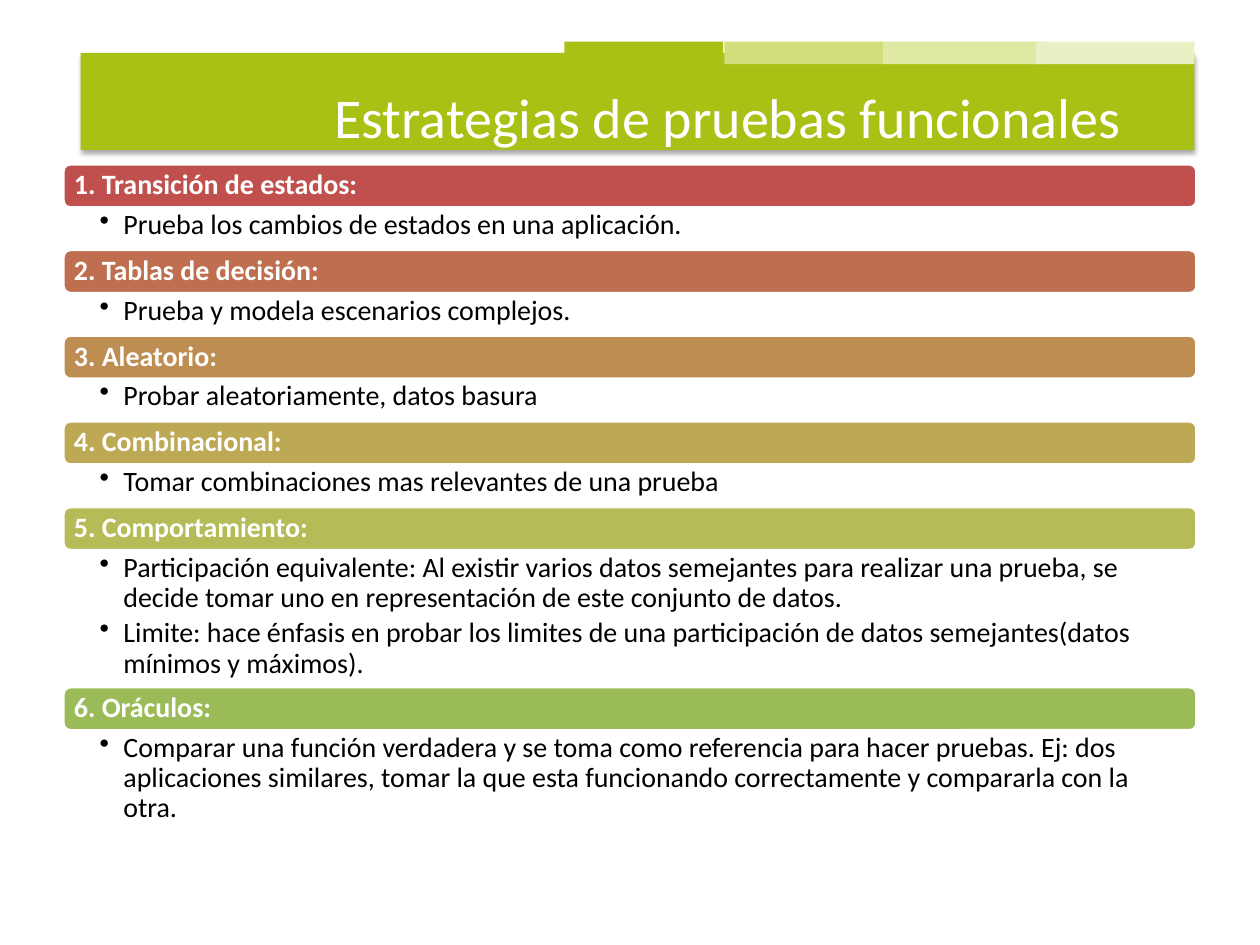
"""Build the slide on functional testing strategies."""
from dataclasses import dataclass

import lxml.etree
import pptx
import pptx.dml.color
import pptx.enum.shapes
import pptx.enum.text
import pptx.oxml.ns
import pptx.util

Inches = pptx.util.Inches
Pt = pptx.util.Pt
RGBColor = pptx.dml.color.RGBColor
Shapes = pptx.enum.shapes.MSO_SHAPE
Anchor = pptx.enum.text.MSO_ANCHOR
Align = pptx.enum.text.PP_ALIGN
qn = pptx.oxml.ns.qn

LIME = RGBColor(0xA9, 0xC1, 0x14)
WHITE = RGBColor(0xFF, 0xFF, 0xFF)
BLACK = RGBColor(0x00, 0x00, 0x00)
BAR_HEIGHT = 0.35


@dataclass(frozen=True)
class Tab:
    left: float
    color: RGBColor


@dataclass(frozen=True)
class Strategy:
    heading: str
    color: RGBColor
    body_height: float
    points: tuple[str, ...]


TABS = (
    Tab(4.48, LIME),
    Tab(5.75, RGBColor(0xD2, 0xDE, 0x7B)),
    Tab(7.01, RGBColor(0xDF, 0xE9, 0xA4)),
    Tab(8.22, RGBColor(0xEA, 0xF0, 0xC4)),
)

STRATEGIES = (
    Strategy("1. Transición de estados:", RGBColor(0xC0, 0x50, 0x4D), 0.33,
             ("Prueba los cambios de estados en una aplicación.",)),
    Strategy("2. Tablas de decisión:", RGBColor(0xBF, 0x6F, 0x4F), 0.33,
             ("Prueba y modela escenarios complejos.",)),
    Strategy("3. Aleatorio:", RGBColor(0xBE, 0x8D, 0x52), 0.33,
             ("Probar aleatoriamente, datos basura",)),
    Strategy("4. Combinacional:", RGBColor(0xBD, 0xA9, 0x54), 0.33,
             ("Tomar combinaciones mas relevantes de una prueba",)),
    Strategy("5. Comportamiento:", RGBColor(0xB5, 0xBC, 0x57), 1.08,
             ("Participación equivalente: Al existir varios datos semejantes para realizar "
              "una prueba, se decide tomar uno en representación de este conjunto de datos.",
              "Limite: hace énfasis en probar los limites de una participación de datos "
              "semejantes(datos mínimos y máximos).")),
    Strategy("6. Oráculos:", RGBColor(0x9B, 0xBB, 0x59), 0.79,
             ("Comparar una función verdadera y se toma como referencia para hacer pruebas. "
              "Ej: dos aplicaciones similares, tomar la que esta funcionando correctamente "
              "y compararla con la otra.",)),
)


def add_block(slide, kind, left: float, top: float, width: float, height: float,
              color: RGBColor):
    block = slide.shapes.add_shape(
        kind, Inches(left), Inches(top), Inches(width), Inches(height))
    block.shadow.inherit = False
    block.fill.solid()
    block.fill.fore_color.rgb = color
    block.line.fill.background()
    return block


def add_shadow(block) -> None:
    effects = block._element.spPr.find(qn("a:effectLst"))
    shadow = lxml.etree.SubElement(
        effects, qn("a:outerShdw"), blurRad=str(Pt(3.1)), dist=str(Pt(1.8)),
        dir="5400000", rotWithShape="0")
    black = lxml.etree.SubElement(shadow, qn("a:srgbClr"), val="000000")
    lxml.etree.SubElement(black, qn("a:alpha"), val="35000")


def set_frame(frame, anchor, side: float, right: float, vertical: float) -> None:
    frame.word_wrap = True
    frame.vertical_anchor = anchor
    frame.margin_left, frame.margin_right = Inches(side), Inches(right)
    frame.margin_top = frame.margin_bottom = Inches(vertical)


def style_text(paragraph, size: int, color: RGBColor, bold: bool = False) -> None:
    paragraph.font.name = "Calibri"
    paragraph.font.size = Pt(size)
    paragraph.font.bold = bold
    paragraph.font.color.rgb = color


def add_bullet(paragraph) -> None:
    properties = paragraph._p.get_or_add_pPr()
    properties.set("marL", str(Inches(0.19)))
    properties.set("indent", str(Inches(-0.19)))
    lxml.etree.SubElement(properties, qn("a:buChar"), char="•")


def add_strategy(slide, strategy: Strategy, top: float) -> None:
    bar = add_block(slide, Shapes.ROUNDED_RECTANGLE, 0.5, top, 9, BAR_HEIGHT, strategy.color)
    bar.line.color.rgb = WHITE
    bar.line.width = Pt(2)
    set_frame(bar.text_frame, Anchor.MIDDLE, 0.07, 0.07, 0.07)
    heading = bar.text_frame.paragraphs[0]
    heading.text = strategy.heading
    heading.alignment = Align.LEFT
    heading.line_spacing = 0.9
    style_text(heading, 16, WHITE, bold=True)

    body = slide.shapes.add_textbox(
        Inches(0.5), Inches(top + BAR_HEIGHT), Inches(9), Inches(strategy.body_height))
    set_frame(body.text_frame, Anchor.TOP, 0.29, 0.12, 0.02)
    for index, point in enumerate(strategy.points):
        paragraph = (body.text_frame.add_paragraph() if index
                     else body.text_frame.paragraphs[0])
        paragraph.text = point
        paragraph.level = 1
        add_bullet(paragraph)
        paragraph.line_spacing = 0.9
        paragraph.space_after = Pt(3)
        style_text(paragraph, 16, BLACK)


def add_title(slide, text: str) -> None:
    title = slide.shapes.add_textbox(Inches(0), Inches(0.3), Inches(9), Inches(1.25))
    set_frame(title.text_frame, Anchor.MIDDLE, 0.1, 0.1, 0.05)
    paragraph = title.text_frame.paragraphs[0]
    paragraph.text = text
    paragraph.alignment = Align.RIGHT
    style_text(paragraph, 32, WHITE)


def main() -> None:
    presentation = pptx.Presentation()
    presentation.slide_width, presentation.slide_height = Inches(10), Inches(7.5)
    slide = presentation.slides.add_slide(presentation.slide_layouts[6])

    banner = add_block(slide, Shapes.RECTANGLE, 0.64, 0.42, 8.84, 0.77, LIME)
    add_shadow(banner)
    for tab in TABS:
        add_block(slide, Shapes.RECTANGLE, tab.left, 0.33, 1.26, 0.18, tab.color)

    top = 1.3
    for strategy in STRATEGIES:
        add_strategy(slide, strategy, top)
        top += BAR_HEIGHT + strategy.body_height

    add_title(slide, "Estrategias de pruebas funcionales")
    presentation.save("out.pptx")


if __name__ == "__main__":
    main()
